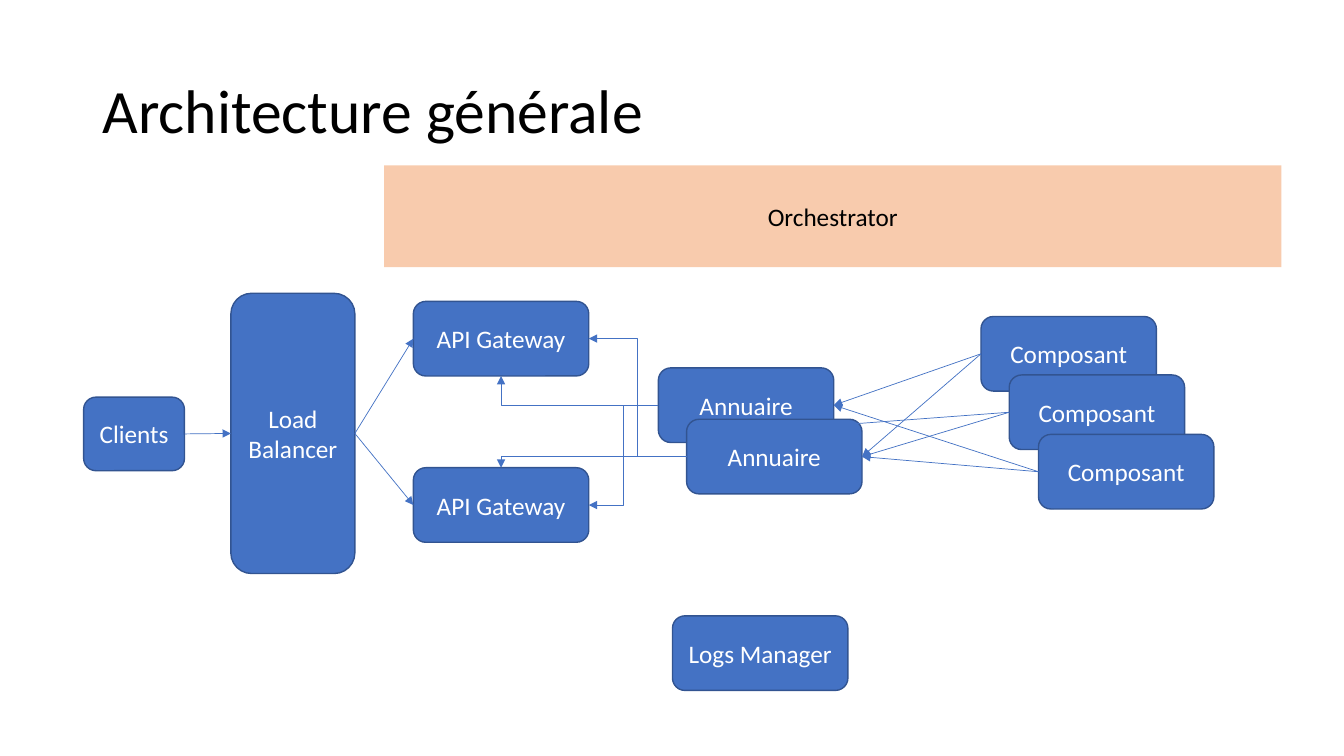
from lxml import etree
from pptx import Presentation
from pptx.dml.color import RGBColor
from pptx.enum import shapes, text
from pptx.oxml.ns import qn
from pptx.util import Inches, Pt

BLUE = RGBColor(0x44, 0x72, 0xC4)
NAVY = RGBColor(0x32, 0x54, 0x91)
PEACH = RGBColor(0xF8, 0xCB, 0xAD)
WHITE = RGBColor(0xFF, 0xFF, 0xFF)
BLACK = RGBColor(0, 0, 0)
FONT = "Calibri"

TITLE = "Architecture générale"
NODE = (1.74, 0.74)
# name: (label lines, left, top, size)
BOXES = {
    "clients": (["Clients"], 0.83, 3.94, (1, 0.73)),
    "balancer": (["Load", "Balancer"], 2.29, 2.91, (1.23, 2.78)),
    "gateway1": (["API Gateway"], 4.1, 2.99, NODE),
    "gateway2": (["API Gateway"], 4.1, 4.64, NODE),
    "annuaire1": (["Annuaire"], 6.53, 3.65, NODE),
    "composant1": (["Composant"], 9.73, 3.14, NODE),
    "composant2": (["Composant"], 10.01, 3.72, NODE),
    "composant3": (["Composant"], 10.3, 4.31, NODE),
    "annuaire2": (["Annuaire"], 6.81, 4.16, NODE),
}
LOGS = (["Logs Manager"], 6.67, 6.11, NODE)
ORCHESTRATOR = (["Orchestrator"], 3.81, 1.64, (8.9, 1.01))

TOP, LEFT, BOTTOM, RIGHT = range(4)
# from, side, to, side, preset, vertical shift of the end
ARROWS = [(f"composant{c}", LEFT, f"annuaire{a}", RIGHT, "line",
           0.2 if (c, a) == (2, 1) else 0)
          for c in (1, 2, 3) for a in (1, 2)]
ARROWS += [
    ("annuaire1", LEFT, "gateway1", BOTTOM, "bentConnector2", 0),
    ("annuaire2", LEFT, "gateway2", TOP, "bentConnector2", 0),
    ("clients", RIGHT, "balancer", LEFT, "line", 0),
    ("balancer", RIGHT, "gateway1", LEFT, "line", 0),
    ("balancer", RIGHT, "gateway2", LEFT, "line", 0),
    ("annuaire2", LEFT, "gateway1", RIGHT, "bentConnector3", 0),
    ("annuaire1", LEFT, "gateway2", RIGHT, "bentConnector3", 0),
]


def write(sp, lines, size, color, align):
    """Fill a shape with vertically centred paragraphs."""
    tf = sp.text_frame
    tf.word_wrap = True
    tf.vertical_anchor = text.MSO_ANCHOR.MIDDLE
    for i, line in enumerate(lines):
        p = tf.add_paragraph() if i else tf.paragraphs[0]
        p.alignment = align
        r = p.add_run()
        r.text = line
        r.font.name, r.font.size, r.font.color.rgb = FONT, Pt(size), color
    return tf


def add_box(s, box, kind=shapes.MSO_SHAPE.ROUNDED_RECTANGLE,
            fill=BLUE, line=NAVY, color=WHITE):
    """Add a labelled block."""
    lines, left, top, size = box
    sp = s.shapes.add_shape(kind, *map(Inches, (left, top, *size)))
    sp.shadow.inherit = False
    sp.fill.solid()
    sp.fill.fore_color.rgb = fill
    if line is None:
        sp.line.fill.background()
    else:
        sp.line.color.rgb, sp.line.width = line, Pt(1)
    write(sp, lines, 18, color, text.PP_ALIGN.CENTER)
    return sp


def site(sp, side):
    """Return the middle of one side of a shape."""
    dx, dy = {TOP: (1, 0), LEFT: (0, 1), BOTTOM: (1, 2), RIGHT: (2, 1)}[side]
    return sp.left + sp.width * dx // 2, sp.top + sp.height * dy // 2


def add_arrow(s, start, start_side, end, end_side, preset, shift):
    """Join two blocks with a thin arrow, straight or bent."""
    straight = preset == "line"
    kind = shapes.MSO_CONNECTOR.STRAIGHT if straight else shapes.MSO_CONNECTOR.ELBOW
    x, y = site(end, end_side)
    c = s.shapes.add_connector(kind, *site(start, start_side), x, y + Inches(shift))
    if straight:
        c.begin_connect(start, start_side)
        if not shift:
            c.end_connect(end, end_side)
    c.line.color.rgb, c.line.width = BLUE, Pt(0.5)
    spPr = c.element.spPr
    spPr.find(qn("a:prstGeom")).set("prst", preset)
    etree.SubElement(spPr.find(qn("a:ln")), qn("a:tailEnd"), type="triangle")
    etree.SubElement(spPr, qn("a:effectLst"))


prs = Presentation()
prs.slide_width, prs.slide_height = Inches(13.33), Inches(7.5)
s = prs.slides.add_slide(prs.slide_layouts[6])

title = s.shapes.add_textbox(*map(Inches, (0.92, 0.4, 11.5, 1.45)))
tf = write(title, [TITLE], 44, BLACK, text.PP_ALIGN.LEFT)
tf.paragraphs[0].line_spacing = 0.9

blocks = {name: add_box(s, box) for name, box in BOXES.items()}
for start, start_side, end, end_side, preset, shift in ARROWS:
    add_arrow(s, blocks[start], start_side, blocks[end], end_side, preset, shift)

add_box(s, ORCHESTRATOR, shapes.MSO_SHAPE.RECTANGLE, PEACH, None, BLACK)
add_box(s, LOGS)

prs.save("out.pptx")
